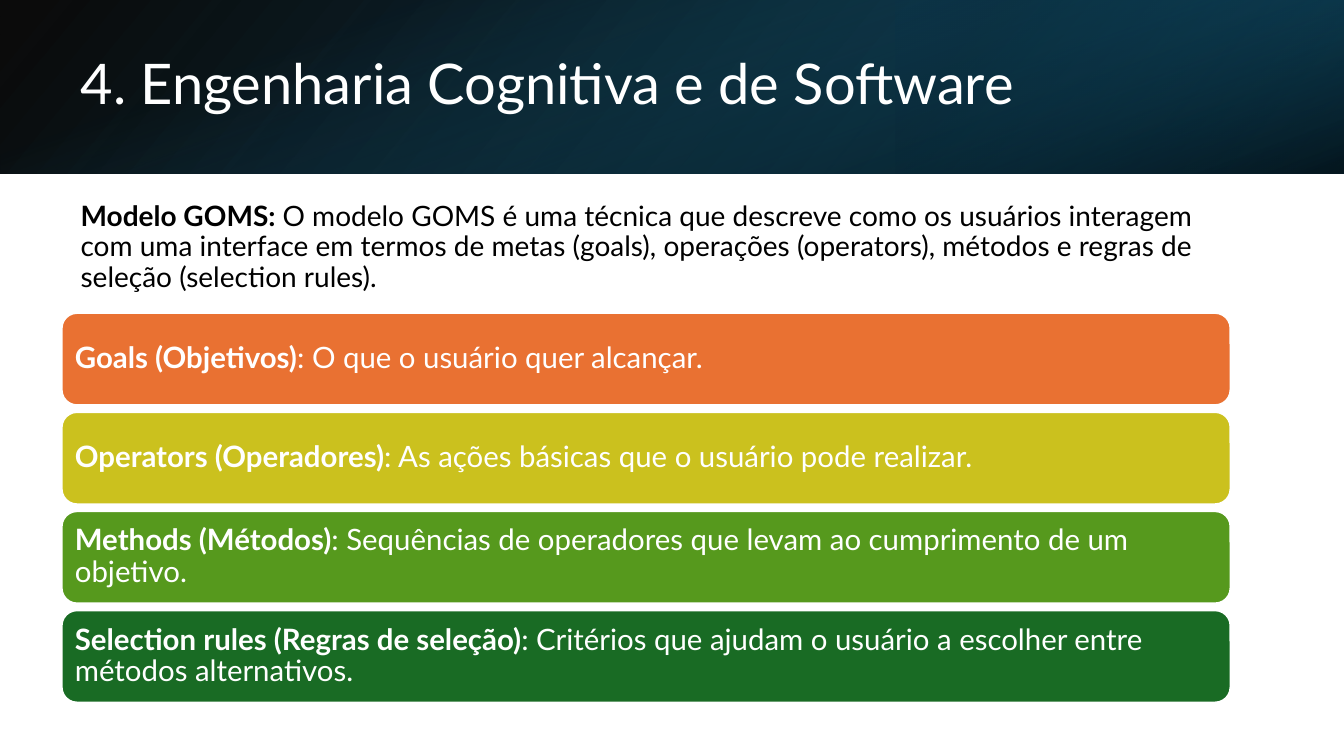
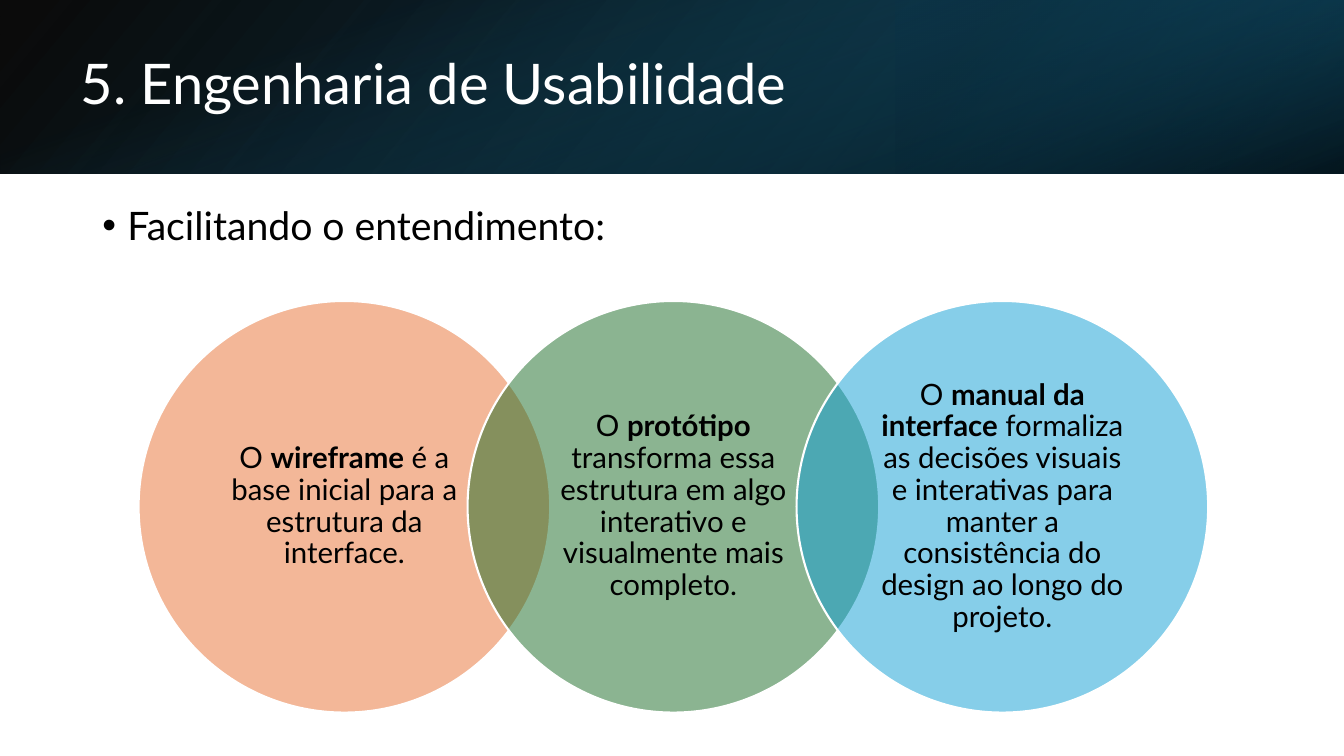
"""Build two slides on cognitive and usability engineering."""
import pptx
import pptx.dml.color
import pptx.enum.shapes
import pptx.enum.text
import pptx.oxml.ns
import pptx.util
from lxml import etree

Pt = pptx.util.Pt
qn = pptx.oxml.ns.qn
SHAPE = pptx.enum.shapes.MSO_SHAPE
ANCHOR = pptx.enum.text.MSO_ANCHOR
ALIGN = pptx.enum.text.PP_ALIGN

FONT = "Lato"
WHITE, BLACK = "FFFFFF", "000000"
ORANGE, GREEN = "E97132", "196B24"
SLIDE_W, SLIDE_H, BAND_H = 960, 540, 124

BARS = [
    (ORANGE, "Goals (Objetivos)", ": O que o usuário quer alcançar."),
    ("CBC11E", "Operators (Operadores)",
     ": As ações básicas que o usuário pode realizar."),
    ("56991D", "Methods (Métodos)",
     ": Sequências de operadores que levam ao cumprimento de um objetivo."),
    (GREEN, "Selection rules (Regras de seleção)",
     ": Critérios que ajudam o usuário a escolher entre métodos alternativos."),
]
CIRCLES = [
    (ORANGE, "wireframe", " é a base inicial para a estrutura da interface."),
    (GREEN, "protótipo",
     " transforma essa estrutura em algo interativo e visualmente mais completo."),
    ("0F9ED5", "manual da interface",
     " formaliza as decisões visuais e interativas para manter a consistência"
     " do design ao longo do projeto."),
]


def rgb(color):
    return pptx.dml.color.RGBColor.from_string(color)


def set_alpha(sp, *percents):
    for clr, percent in zip(sp._element.spPr.iter(qn("a:srgbClr")), percents):
        etree.SubElement(clr, qn("a:alpha")).set("val", str(percent * 1000))


def write(sp, runs, size, color, margins, anchor=ANCHOR.MIDDLE, align=ALIGN.LEFT):
    tf = sp.text_frame
    tf.word_wrap = True
    tf.vertical_anchor = anchor
    tf.margin_left = tf.margin_right = Pt(margins[0])
    tf.margin_top = tf.margin_bottom = Pt(margins[1])
    p = tf.paragraphs[0]
    p.alignment = align
    p.line_spacing = 0.9
    for text, bold in runs:
        r = p.add_run()
        r.text = text
        r.font.name = FONT
        r.font.size = Pt(size)
        r.font.bold = bold
        r.font.color.rgb = rgb(color)
    return p


def add_text(s, x, y, w, h, runs, size, color, anchor):
    sp = s.shapes.add_textbox(Pt(x), Pt(y), Pt(w), Pt(h))
    return write(sp, runs, size, color, (7.2, 3.6), anchor)


def add_shape(s, kind, x, y, w, h):
    sp = s.shapes.add_shape(kind, Pt(x), Pt(y), Pt(w), Pt(h))
    sp.shadow.inherit = False
    return sp


def add_card(s, kind, x, y, w, h, fill):
    sp = add_shape(s, kind, x, y, w, h)
    sp.fill.solid()
    sp.fill.fore_color.rgb = rgb(fill)
    sp.line.color.rgb = rgb(WHITE)
    sp.line.width = Pt(1.5)
    return sp


def add_gradient(s, x, y, w, h, stops, angle, rotation=0, flip=False):
    sp = add_shape(s, SHAPE.RECTANGLE, x, y, w, h)
    sp.rotation = rotation
    if flip:
        sp._element.spPr.xfrm.set("flipH", "1")
    sp.line.fill.background()
    sp.fill.gradient()
    sp.fill.gradient_angle = 360 - angle
    for stop, (position, color, _) in zip(sp.fill.gradient_stops, stops):
        stop.position = position
        stop.color.rgb = rgb(color)
    set_alpha(sp, *[alpha for _, _, alpha in stops])


def add_slide(prs, title):
    s = prs.slides.add_slide(prs.slide_layouts[6])
    add_gradient(s, 0, 0, SLIDE_W, BAND_H,
                 [(0, BLACK, 96), (1, "104862", 100)], 140, flip=True)
    add_gradient(s, SLIDE_W * 2 / 3, 0, SLIDE_W / 3, BAND_H,
                 [(0.19, "0B3041", 68), (1, "156082", 79)], 320, 180, True)
    offset = (SLIDE_W - BAND_H) / 2
    add_gradient(s, offset, -offset, BAND_H, SLIDE_W,
                 [(0.23, "156082", 0), (0.99, BLACK, 74)], 340, 90)
    add_text(s, 50.5, 27.5, 790, 69, [(title, False)], 40, WHITE, ANCHOR.MIDDLE)
    return s


def add_bullet(p, indent):
    pPr = p._p.get_or_add_pPr()
    pPr.set("marL", str(Pt(indent)))
    pPr.set("indent", str(-Pt(indent)))
    etree.SubElement(pPr, qn("a:buFont")).set("typeface", "Arial")
    etree.SubElement(pPr, qn("a:buChar")).set("char", "•")


def add_bars(s, x, y, w, h, pitch):
    for i, (color, term, meaning) in enumerate(BARS):
        sp = add_card(s, SHAPE.ROUNDED_RECTANGLE, x, y + i * pitch, w, h, color)
        write(sp, [(term, True), (meaning, False)], 21, WHITE, (6.3, 6.3))


def add_circles(s, x, y, size, pitch):
    for i, (color, term, meaning) in enumerate(CIRCLES):
        sp = add_card(s, SHAPE.OVAL, x + i * pitch, y, size, size, color)
        set_alpha(sp, 50)
        write(sp, [("O ", False), (term, True), (meaning, False)], 21, BLACK,
              (16, 2), align=ALIGN.CENTER)


def main():
    prs = pptx.Presentation()
    prs.slide_width, prs.slide_height = Pt(SLIDE_W), Pt(SLIDE_H)

    s = add_slide(prs, "4. Engenharia Cognitiva e de Software")
    add_text(s, 50.5, 141, 828, 80, [
        ("Modelo GOMS: ", True),
        ("O modelo GOMS é uma técnica que descreve como os usuários interagem com"
         " uma interface em termos de metas (goals), operações (operators),"
         " métodos e regras de seleção (selection rules).", False),
    ], 20, BLACK, ANCHOR.TOP)
    add_bars(s, 44, 223.5, 835, 66, 70.8)

    s = add_slide(prs, "5. Engenharia de Usabilidade")
    p = add_text(s, 66, 144, 828, 50, [("Facilitando o entendimento:", False)],
                 28, BLACK, ANCHOR.TOP)
    add_bullet(p, 18)
    add_circles(s, 99, 215, 294, 235)

    prs.save("out.pptx")


if __name__ == "__main__":
    main()
